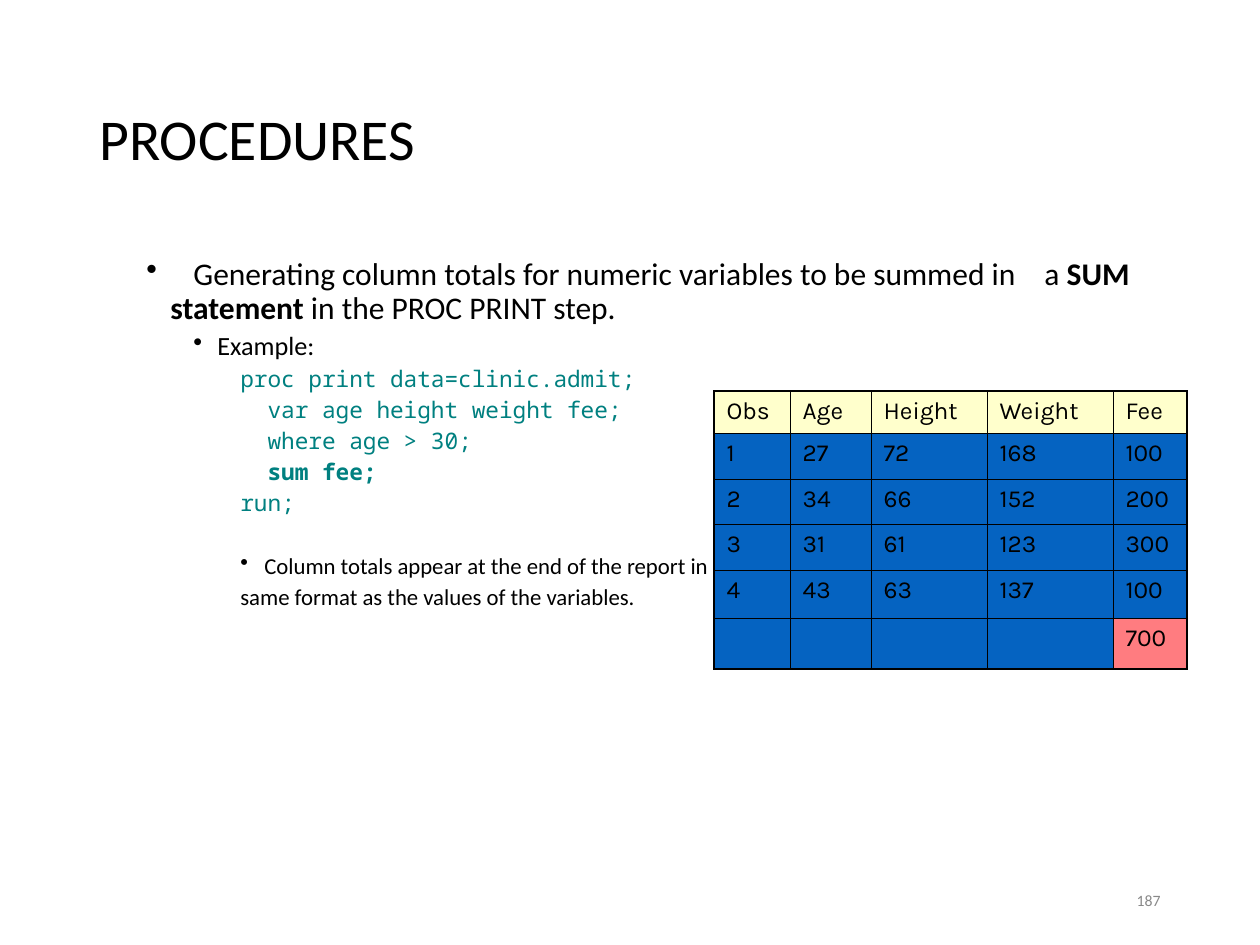
from dataclasses import dataclass

from lxml import etree
from pptx import Presentation
from pptx import util as u
from pptx.dml.color import RGBColor
from pptx.enum import text
from pptx.oxml import ns

PX = 914400 / 126


@dataclass(frozen=True)
class Theme:
    ink: str = "000000"
    code: str = "008080"
    muted: str = "898989"
    header: str = "FFFFCC"
    data: str = "0563C1"
    total: str = "FF7C80"
    sans: str = "Calibri"
    mono: str = "Noto Sans Mono"
    grid: str = "Karla"
    title_size: int = 33
    lead_size: int = 18
    example_size: int = 15
    detail_size: int = 13
    cell_size: int = 14
    number_size: int = 9
    outer_line: float = 1.08
    inner_line: float = 0.45


THEME = Theme()

CODE = [
    "proc print data=clinic.admit;",
    "  var age height weight fee;",
    "  where age > 30;",
    "  sum fee;",
    "run;",
]
REPORT = [
    ["Obs", "Age", "Height", "Weight", "Fee"],
    ["1", "27", "72", "168", "100"],
    ["2", "34", "66", "152", "200"],
    ["3", "31", "61", "123", "300"],
    ["4", "43", "63", "137", "100"],
    ["", "", "", "", "700"],
]
COLUMN_WIDTHS = [76, 81, 116, 126, 74]
ROW_HEIGHTS = [42, 46, 45, 46, 48, 51]


def px(length):
    return u.Emu(round(length * PX))


def add_child(parent, tag, **attributes):
    return etree.SubElement(parent, ns.qn(tag), attributes)


def style(paragraph, size, face=THEME.sans, color=THEME.ink, bold=False):
    font = paragraph.font
    font.size = u.Pt(size)
    font.name = face
    font.bold = bold
    font.color.rgb = RGBColor.from_string(color)


def add_box(slide, left, top, width, height, anchor=text.MSO_ANCHOR.TOP):
    frame = slide.shapes.add_textbox(px(left), px(top), px(width), px(height)).text_frame
    frame.word_wrap = True
    frame.vertical_anchor = anchor
    return frame


def add_label(slide, box, words, size, color, align):
    paragraph = add_box(slide, *box, text.MSO_ANCHOR.MIDDLE).paragraphs[0]
    paragraph.text = words
    paragraph.alignment = align
    paragraph.line_spacing = 0.9
    style(paragraph, size, color=color)


def add_point(frame, level, words, size, bullet=False, space=3.7, tabs=(), **font):
    first = not frame.paragraphs[0].runs
    paragraph = frame.paragraphs[0] if first else frame.add_paragraph()
    paragraph.level = level
    paragraph.line_spacing = 0.9
    if not first:
        paragraph.space_before = u.Pt(space)
    properties = paragraph._p.get_or_add_pPr()
    properties.set("marL", str(px(71 + 47 * (level - 1))))
    properties.set("indent", str(px(-24)))
    if bullet:
        add_child(add_child(properties, "a:buClr"), "a:srgbClr", val=THEME.ink)
        add_child(properties, "a:buChar", char="•")
    if tabs:
        stops = add_child(properties, "a:tabLst")
        for stop in tabs:
            add_child(stops, "a:tab", pos=str(px(stop)), algn="l")
    style(paragraph, size, **font)
    for words_part, bold in words:
        run = paragraph.add_run()
        run.text = words_part
        if bold:
            run.font.bold = True


def add_explanation(slide):
    frame = add_box(slide, 87, 252, 1087, 600)
    lead = [
        ("\tGenerating column totals for numeric variables to be summed in \ta ", False),
        ("SUM statement", True),
        (" in the PROC PRINT step.", False),
    ]
    tabs = [round(94.5 * step) for step in range(1, 11)]
    add_point(frame, 1, lead, THEME.lead_size, bullet=True, tabs=tabs)
    add_point(frame, 2, [("Example:", False)], THEME.example_size, bullet=True)
    for line in CODE:
        add_point(frame, 3, [(line, "sum" in line)], THEME.detail_size,
                  face=THEME.mono, color=THEME.code)
    add_point(frame, 3, [("Column totals appear at the end of the report in the", False)],
              THEME.detail_size, bullet=True, space=21.7)
    add_point(frame, 3, [("same format as the values of the variables.", False)],
              THEME.detail_size)


def set_borders(cell, outer_sides):
    properties = cell._tc.get_or_add_tcPr()
    for side, outer in outer_sides.items():
        width = THEME.outer_line if outer else THEME.inner_line
        line = add_child(properties, "a:ln" + side, w=str(u.Pt(width)))
        add_child(add_child(line, "a:solidFill"), "a:srgbClr", val=THEME.ink)


def cell_color(row, value):
    if row == 0:
        return THEME.header
    if row == len(REPORT) - 1 and value:
        return THEME.total
    return THEME.data


def add_report(slide):
    last_row, last_column = len(REPORT) - 1, len(REPORT[0]) - 1
    report = slide.shapes.add_table(
        len(REPORT), len(REPORT[0]), px(714), px(391),
        px(sum(COLUMN_WIDTHS)), px(sum(ROW_HEIGHTS))).table
    report.first_row = False
    report.horz_banding = False
    for column, width in zip(report.columns, COLUMN_WIDTHS):
        column.width = px(width)
    for row, height in zip(report.rows, ROW_HEIGHTS):
        row.height = px(height)
    for r, values in enumerate(REPORT):
        for c, value in enumerate(values):
            cell = report.cell(r, c)
            set_borders(cell, {"L": c == 0, "R": c == last_column,
                               "T": r == 0, "B": r == last_row})
            cell.fill.solid()
            cell.fill.fore_color.rgb = RGBColor.from_string(cell_color(r, value))
            cell.text = value
            style(cell.text_frame.paragraphs[0], THEME.cell_size, face=THEME.grid)


def main():
    deck = Presentation()
    deck.slide_width, deck.slide_height = px(1260), px(945)
    slide = deck.slides.add_slide(deck.slide_layouts[6])
    add_label(slide, (87, 50, 1087, 183), "PROCEDURES", THEME.title_size,
              THEME.ink, text.PP_ALIGN.LEFT)
    add_explanation(slide)
    add_label(slide, (890, 876, 283, 50), "187", THEME.number_size,
              THEME.muted, text.PP_ALIGN.RIGHT)
    add_report(slide)
    deck.save("out.pptx")


if __name__ == "__main__":
    main()
